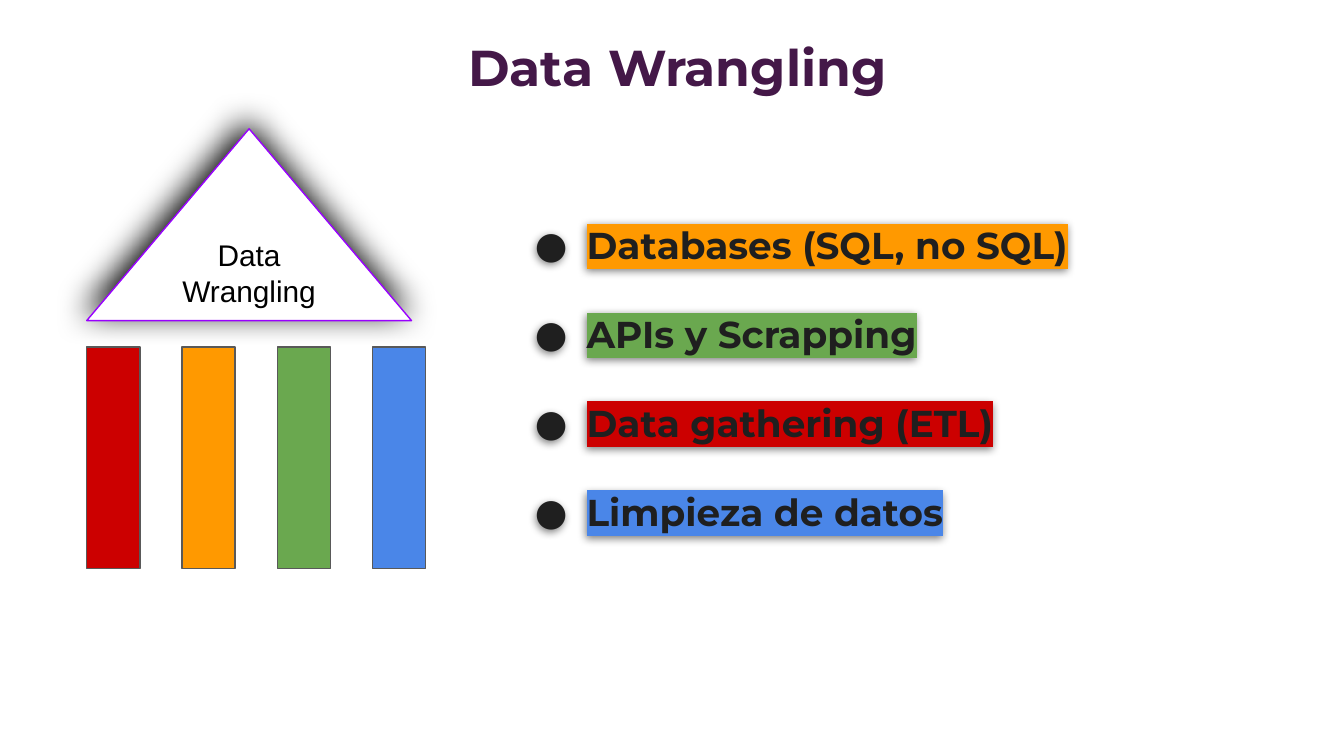
from dataclasses import dataclass

from lxml.etree import SubElement
from pptx import Presentation
from pptx.dml.color import RGBColor
from pptx.enum.shapes import MSO_SHAPE
from pptx.enum.text import MSO_ANCHOR, MSO_AUTO_SIZE, PP_ALIGN
from pptx.oxml.ns import qn
from pptx.util import Pt

EMU_PER_PX = 9525
INSET = 10


def px(length):
    return length * EMU_PER_PX


@dataclass(frozen=True)
class Theme:
    heading_font: str = "Montserrat"
    label_font: str = "Arial"
    title_size: int = 27
    topic_size: int = 20
    label_size: int = 16
    topic_gap: float = 23.6
    line_width: float = 0.75
    title: str = "441848"
    topic: str = "1F1F1F"
    black: str = "000000"
    white: str = "FFFFFF"
    roof_line: str = "9900FF"
    pillar_line: str = "595959"
    red: str = "CC0000"
    orange: str = "FF9900"
    green: str = "6AA84F"
    blue: str = "4A86E8"


class SlideBuilder:
    def __init__(self, slide, theme):
        self.slide = slide
        self.theme = theme

    def set_frame(self, frame, anchor):
        values = {
            "word_wrap": True,
            "auto_size": MSO_AUTO_SIZE.NONE,
            "vertical_anchor": anchor,
            "margin_left": px(INSET),
            "margin_right": px(INSET),
            "margin_top": px(INSET),
            "margin_bottom": px(INSET),
        }
        for name, value in values.items():
            setattr(frame, name, value)

    def add_run(self, paragraph, text, font, size, color, bold=False):
        run = paragraph.add_run()
        run.text = text
        for name, value in {"name": font, "size": Pt(size), "bold": bold}.items():
            setattr(run.font, name, value)
        run.font.color.rgb = RGBColor.from_string(color)
        return run

    def add_color(self, parent, tag, color):
        holder = SubElement(parent, qn(tag))
        return SubElement(holder, qn("a:srgbClr"), val=color)

    def add_shadow(self, shape, blur, distance, degrees, opacity):
        """Blur and distance are in points, opacity in percent."""
        shape.shadow.inherit = False
        effects = shape._element.spPr.find(qn("a:effectLst"))
        color = self.add_color(effects, "a:outerShdw", self.theme.black)
        outer = color.getparent()
        values = {
            "blurRad": Pt(blur),
            "dist": Pt(distance),
            "dir": degrees * 60000,
            "algn": "bl",
            "rotWithShape": 0,
        }
        for name, value in values.items():
            outer.set(name, str(value))
        SubElement(color, qn("a:alpha"), val=str(opacity * 1000))

    def title(self, text, left, top, width, height):
        title = self.slide.shapes.title
        box = {"left": left, "top": top, "width": width, "height": height}
        for name, value in box.items():
            setattr(title, name, px(value))
        self.set_frame(title.text_frame, MSO_ANCHOR.TOP)
        paragraph = title.text_frame.paragraphs[0]
        paragraph.alignment = PP_ALIGN.CENTER
        theme = self.theme
        self.add_run(paragraph, text, theme.heading_font, theme.title_size, theme.title, True)

    def block(self, kind, box, fill, line):
        shape = self.slide.shapes.add_shape(kind, *map(px, box))
        shape.shadow.inherit = False
        shape.fill.solid()
        shape.fill.fore_color.rgb = RGBColor.from_string(fill)
        shape.line.color.rgb = RGBColor.from_string(line)
        shape.line.width = Pt(self.theme.line_width)
        return shape

    def roof(self, text, *box):
        theme = self.theme
        roof = self.block(MSO_SHAPE.ISOSCELES_TRIANGLE, box, theme.white, theme.roof_line)
        self.add_shadow(roof, blur=18, distance=4.5, degrees=250, opacity=100)
        self.set_frame(roof.text_frame, MSO_ANCHOR.MIDDLE)
        paragraph = roof.text_frame.paragraphs[0]
        paragraph.alignment = PP_ALIGN.CENTER
        self.add_run(paragraph, text, theme.label_font, theme.label_size, theme.black)

    def pillars(self, colors, left, top, width, height, pitch):
        for index, color in enumerate(colors):
            box = (left + index * pitch, top, width, height)
            self.block(MSO_SHAPE.RECTANGLE, box, color, self.theme.pillar_line)

    def add_bullet(self, paragraph):
        properties = paragraph._p.get_or_add_pPr()
        properties.set("marL", str(px(48)))
        properties.set("indent", str(px(-37)))
        self.add_color(properties, "a:buClr", self.theme.topic)
        SubElement(properties, qn("a:buFont"), typeface=self.theme.heading_font)
        SubElement(properties, qn("a:buChar"), char="●")

    def highlight(self, run, color):
        properties = run._r.get_or_add_rPr()
        mark = self.add_color(properties, "a:highlight", color).getparent()
        properties.find(qn("a:latin")).addprevious(mark)

    def topics(self, topics, *box):
        theme = self.theme
        topic_list = self.slide.shapes.add_textbox(*map(px, box))
        self.add_shadow(topic_list, blur=4.5, distance=1.5, degrees=90, opacity=50)
        frame = topic_list.text_frame
        self.set_frame(frame, MSO_ANCHOR.TOP)
        for index, (text, color) in enumerate(topics):
            paragraph = frame.add_paragraph() if index else frame.paragraphs[0]
            self.add_bullet(paragraph)
            if index:
                paragraph.space_before = Pt(theme.topic_gap)
            run = self.add_run(
                paragraph, text, theme.heading_font, theme.topic_size, theme.topic, True
            )
            self.highlight(run, color)


def main():
    theme = Theme()
    presentation = Presentation()
    presentation.slide_width = px(960)
    presentation.slide_height = px(540)
    title_only = presentation.slide_layouts[5]
    builder = SlideBuilder(presentation.slides.add_slide(title_only), theme)

    builder.title("Data Wrangling ", 39, 16, 900, 106)
    builder.roof("Data Wrangling ", 62, 92, 232, 137)
    pillar_colors = (theme.red, theme.orange, theme.green, theme.blue)
    builder.pillars(pillar_colors, left=62, top=248, width=38, height=158, pitch=68)
    topics = (
        ("Databases (SQL, no SQL)", theme.orange),
        ("APIs y Scrapping", theme.green),
        ("Data gathering (ETL)", theme.red),
        ("Limpieza de datos", theme.blue),
    )
    builder.topics(topics, 361, 149, 579, 337)
    presentation.save("out.pptx")


if __name__ == "__main__":
    main()
